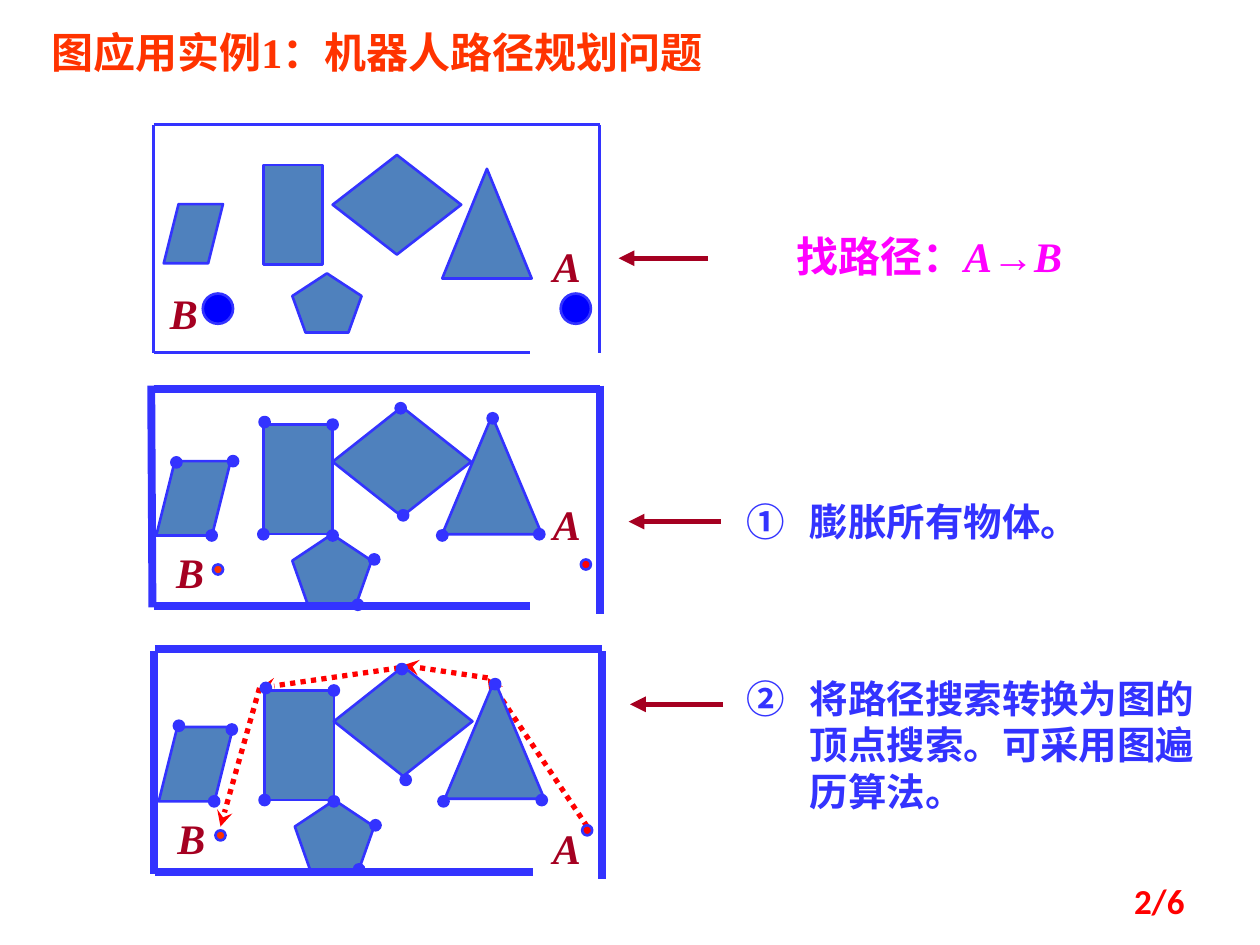
"""Build a slide on robot path planning with three room plans."""
from lxml.etree import SubElement as Sub
from pptx import Presentation as Deck
from pptx.dml.color import RGBColor as Color
from pptx.enum.dml import MSO_LINE_DASH_STYLE as Dash
from pptx.enum.shapes import MSO_CONNECTOR_TYPE as Link, MSO_SHAPE as Shape
from pptx.enum.text import MSO_ANCHOR as Anchor, PP_ALIGN as Align
from pptx.oxml.ns import qn
from pptx.util import Inches, Pt

HUES = {
    "title": "FF3300", "goal": "FF00FF", "edge": "3333FF", "block": "4F81BD",
    "mark": "A50021", "path": "FF0000", "disc": "0000FF",
}
KINDS = (Shape.RECTANGLE, Shape.DIAMOND, Shape.REGULAR_PENTAGON,
         Shape.ISOSCELES_TRIANGLE, Shape.PARALLELOGRAM)
DOT = 0.08
DISC = 0.24
SMALL = ((0.47, 0.79), (1.02, 0.79), (0.55, 0.47), (0.71, 0.87), (0.47, 0.47))
LARGE = ((0.55, 0.87), (1.1, 0.87), (0.63, 0.55), (0.79, 0.94), (0.59, 0.59))

GROWN = {
    "walls": ((1.2, 3.06, 1.21, 4.82), (1.22, 3.09, 4.76, 3.09),
              (4.76, 3.06, 4.76, 4.87), (1.22, 4.81, 4.21, 4.81)),
    "spots": ((2.09, 3.37), (2.64, 3.23), (2.32, 4.24), (3.51, 3.3), (1.24, 3.66)),
    "sizes": LARGE,
    "marks": (("A", 4.29, 3.91), ("B", 1.3, 4.29)),
    "ends": ((4.61, 4.44, "path"), (1.69, 4.48, "title")),
    "dots": ((4.24, 4.2), (3.87, 3.28), (3.14, 3.2), (2.6, 3.33), (2.06, 3.31),
             (2.8, 4.76), (2.93, 4.4), (3.47, 4.21), (3.16, 4.05), (2.05, 4.2),
             (2.6, 4.21), (1.81, 3.62), (1.64, 4.21), (1.36, 3.63)),
}
ROUTED = {
    "walls": ((1.22, 5.17, 1.22, 6.94), (1.23, 5.15, 4.78, 5.15),
              (4.78, 5.17, 4.78, 6.98), (1.23, 6.92, 4.23, 6.92)),
    "spots": ((2.1, 5.48), (2.65, 5.29), (2.34, 6.35), (3.53, 5.4), (1.26, 5.77)),
    "sizes": LARGE,
    "marks": (("A", 4.29, 6.48), ("B", 1.31, 6.4)),
    "ends": ((4.62, 6.55, "path"), (1.71, 6.59, "title")),
    "dots": ((4.26, 6.31), (3.89, 5.39), (3.15, 5.27), (2.61, 5.44), (2.07, 5.42),
             (2.81, 6.86), (2.94, 6.51), (3.48, 6.32), (3.18, 6.15), (2.06, 6.31),
             (2.61, 6.32), (1.8, 5.75), (1.66, 6.32), (1.38, 5.72)),
}
PLAIN = {
    "walls": ((1.22, 0.99, 1.22, 2.8), (1.22, 0.99, 4.76, 0.99),
              (4.76, 0.99, 4.76, 2.8), (1.22, 2.8, 4.21, 2.8)),
    "spots": ((2.09, 1.31), (2.64, 1.23), (2.32, 2.17), (3.51, 1.34), (1.3, 1.62)),
    "sizes": SMALL,
    "marks": (("A", 4.29, 1.86), ("B", 1.25, 2.23)),
    "ends": ((4.45, 2.33, "disc"), (1.61, 2.33, "disc")),
    "dots": (),
}
ROUTE = ((4.66, 6.56, 3.87, 5.38), (3.87, 5.38, 3.2, 5.28),
         (3.17, 5.3, 2.06, 5.46), (2.06, 5.46, 1.75, 6.56))
HINTS = ((5.62, 2.05, 4.91, 2.05), (5.72, 4.14, 4.99, 4.14), (5.74, 5.59, 5, 5.59))


def tint(name):
    return Color.from_string(HUES[name])


def add_line(slide, ends, hue, width, tip=None, dash=None):
    line = slide.shapes.add_connector(Link.STRAIGHT, *map(Inches, ends))
    line.line.color.rgb = tint(hue)
    line.line.width = Pt(width)
    if dash:
        line.line.dash_style = dash
    if tip:
        Sub(line.line._get_or_add_ln(), qn("a:tailEnd"), type=tip)
    Sub(line._element.spPr, qn("a:effectLst"))


def add_form(slide, kind, box, hue):
    form = slide.shapes.add_shape(kind, *map(Inches, box))
    form.shadow.inherit = False
    form.fill.solid()
    form.fill.fore_color.rgb = tint(hue)
    form.line.color.rgb = tint("edge")
    form.line.width = Pt(1.5)


def add_text(slide, text, box, hue, size=24, font="Times New Roman",
             align=Align.LEFT, anchor=Anchor.TOP, slant="", wrap=True, num=None):
    frame = slide.shapes.add_textbox(*map(Inches, box)).text_frame
    frame.word_wrap = wrap
    frame.vertical_anchor = anchor
    para = frame.paragraphs[0]
    para.alignment = align
    for part in [text] if isinstance(text, str) else text:
        run = para.add_run()
        run.text = part
        run.font.name = font
        run.font.size = Pt(size)
        run.font.bold = True
        run.font.italic = part in slant
        run.font.color.rgb = tint(hue)
    if num:
        props = para._p.get_or_add_pPr()
        props.set("marL", str(Inches(0.5)))
        props.set("indent", str(-Inches(0.5)))
        Sub(props, qn("a:buAutoNum"), type="circleNumDbPlain", startAt=str(num))


def add_room(slide, room, width, side):
    for wall in room["walls"]:
        add_line(slide, wall, "edge", width)
    for kind, spot, size in zip(KINDS, room["spots"], room["sizes"]):
        add_form(slide, kind, spot + size, "block")
    for mark, left, top in room["marks"]:
        add_text(slide, mark, (left, top, 0.39, 0.5), "mark",
                 align=Align.CENTER, slant="AB", wrap=False)
    for left, top, hue in room["ends"]:
        add_form(slide, Shape.OVAL, (left, top, side, side), hue)
    for spot in room["dots"]:
        add_form(slide, Shape.OVAL, spot + (DOT, DOT), "edge")


def main():
    deck = Deck()
    deck.slide_width, deck.slide_height = Inches(10), Inches(7.5)
    slide = deck.slides.add_slide(deck.slide_layouts[6])
    for leg in ROUTE:
        add_line(slide, leg, "path", 3, tip="stealth", dash=Dash.ROUND_DOT)
    add_room(slide, GROWN, 4.5, DOT)
    add_room(slide, ROUTED, 4.5, DOT)
    add_room(slide, PLAIN, 1.5, DISC)
    for hint in HINTS:
        add_line(slide, hint, "mark", 3, tip="triangle")
    add_text(slide, "图应用实例1：机器人路径规划问题", (0.31, 0.16, 6.17, 0.5), "title")
    add_text(slide, ("找路径：", "A", "→", "B"), (5.76, 1.78, 3.23, 0.5), "goal",
             align=Align.CENTER, slant="AB")
    add_text(slide, "膨胀所有物体。", (5.83, 3.9, 3, 0.47), "edge", size=22, num=1)
    add_text(slide, "将路径搜索转换为图的顶点搜索。可采用图遍历算法。",
             (5.83, 5.31, 3.86, 1.21), "edge", size=22, num=2)
    add_text(slide, "2/6", (7.17, 6.95, 2.33, 0.4), "path", size=20, font="Calibri",
             align=Align.RIGHT, anchor=Anchor.MIDDLE)
    deck.save("out.pptx")


main()
